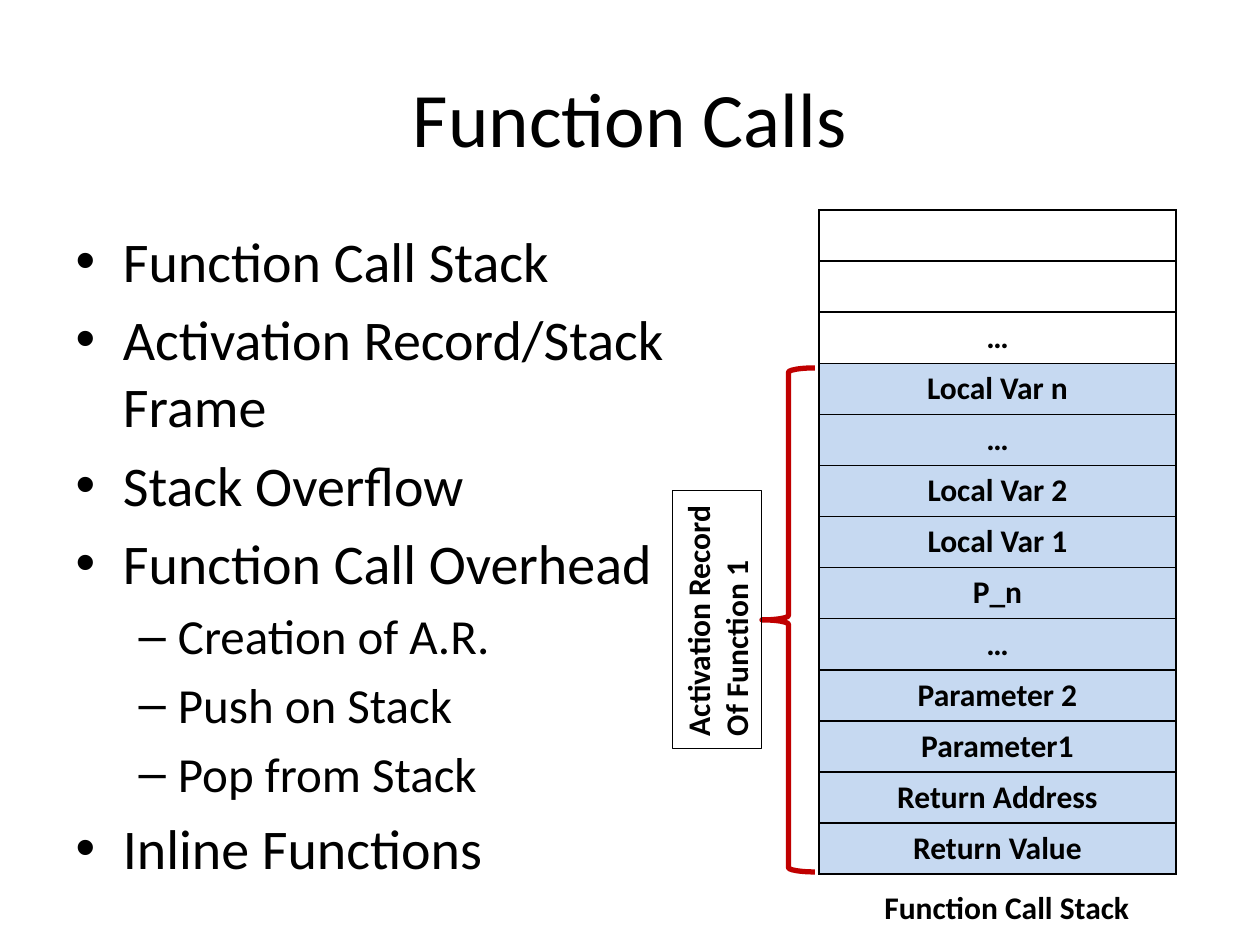
"""Build the Function Calls slide with a call stack diagram."""
from lxml.etree import SubElement
from pptx import Presentation
from pptx.dml.color import RGBColor
from pptx.enum.shapes import MSO_SHAPE
from pptx.enum.text import MSO_ANCHOR, MSO_AUTO_SIZE, PP_ALIGN
from pptx.oxml import parse_xml
from pptx.oxml.ns import nsdecls, qn
from pptx.util import Emu, Pt

TITLE = "Function Calls"
TOPICS = [
    ("Function Call Stack", 0),
    ("Activation Record/Stack Frame", 0),
    ("Stack Overflow", 0),
    ("Function Call Overhead", 0),
    ("Creation of A.R.", 1),
    ("Push on Stack", 1),
    ("Pop from Stack", 1),
    ("Inline Functions", 0),
]
TOPIC_SIZES = [32, 28]
FREE_SLOTS = ["", "", "…"]
RECORD_SLOTS = [
    "Local Var n", "…", "Local Var 2", "Local Var 1", "P_n", "…",
    "Parameter 2", "Parameter1", "Return Address", "Return Value",
]
CAPTION = "Function Call Stack"
RECORD_LABEL = ["Activation Record", "Of Function 1"]

BLACK, RED, BLUE = "000000", "C00000", "C6D9F1"
STACK_LEFT, STACK_TOP, STACK_WIDTH, SLOT_HEIGHT = 819, 210, 357, 51


def px(value):
    return Emu(round(value * 914400 / 126))


def box(left, top, width, height):
    return [px(value) for value in (left, top, width, height)]


def color(value):
    return RGBColor.from_string(value)


def write(paragraph, text, size=18, bold=False, align=None, level=0):
    paragraph.text = text
    paragraph.level = level
    paragraph.alignment = align
    font = paragraph.font
    font.name, font.size, font.bold = "Calibri", Pt(size), bold
    font.color.rgb = color(BLACK)


def write_lines(frame, lines):
    for index, (text, style) in enumerate(lines):
        paragraph = frame.add_paragraph() if index else frame.paragraphs[0]
        write(paragraph, text, **style)


def place(shape, left, top, width, height):
    shape.left, shape.top, shape.width, shape.height = box(left, top, width, height)


def add_outline(slide, kind, bounds, line_color, line_width):
    shape = slide.shapes.add_shape(kind, *box(*bounds))
    shape.shadow.inherit = False
    shape.fill.background()
    shape.line.color.rgb = color(line_color)
    shape.line.width = Pt(line_width)
    return shape


def border(cell):
    properties = cell._tc.get_or_add_tcPr()
    for index, side in enumerate(("lnL", "lnR", "lnT", "lnB")):
        line = parse_xml(f'<a:{side} {nsdecls("a")} w="{Pt(1)}"/>')
        fill = SubElement(line, qn("a:solidFill"))
        SubElement(fill, qn("a:srgbClr"), val=BLACK)
        properties.insert(index, line)


def add_stack(slide):
    slots = FREE_SLOTS + RECORD_SLOTS
    bounds = box(STACK_LEFT, STACK_TOP, STACK_WIDTH, SLOT_HEIGHT * len(slots))
    table = slide.shapes.add_table(len(slots), 1, *bounds).table
    table.first_row = table.horz_banding = False
    for index, text in enumerate(slots):
        table.rows[index].height = px(SLOT_HEIGHT)
        cell = table.cell(index, 0)
        write(cell.text_frame.paragraphs[0], text, bold=True, align=PP_ALIGN.CENTER)
        if index < len(FREE_SLOTS):
            cell.fill.background()
        else:
            cell.fill.solid()
            cell.fill.fore_color.rgb = color(BLUE)
        border(cell)


def main():
    presentation = Presentation()
    presentation.slide_width, presentation.slide_height = px(1260), px(945)
    slide = presentation.slides.add_slide(presentation.slide_layouts[1])

    title, body = slide.placeholders
    place(title, 63, 38, 1134, 157)
    write(title.text_frame.paragraphs[0], TITLE, size=44, align=PP_ALIGN.CENTER)
    place(body, 63, 220, 630, 624)
    body.text_frame.auto_size = MSO_AUTO_SIZE.NONE
    write_lines(body.text_frame, [
        (text, {"size": TOPIC_SIZES[level], "level": level}) for text, level in TOPICS
    ])

    add_stack(slide)
    caption = slide.shapes.add_textbox(*box(872, 882, 272, 51)).text_frame
    caption.word_wrap = False
    write(caption.paragraphs[0], CAPTION, bold=True)

    add_outline(slide, MSO_SHAPE.LEFT_BRACE, (762, 368, 53, 504), RED, 3)
    label = add_outline(slide, MSO_SHAPE.RECTANGLE, (588, 575, 258, 89), BLACK, 0.75)
    label.rotation = 270
    label.text_frame.word_wrap = False
    label.text_frame.vertical_anchor = MSO_ANCHOR.TOP
    write_lines(label.text_frame, [
        (text, {"bold": True, "align": PP_ALIGN.LEFT}) for text in RECORD_LABEL
    ])
    presentation.save("out.pptx")


if __name__ == "__main__":
    main()
